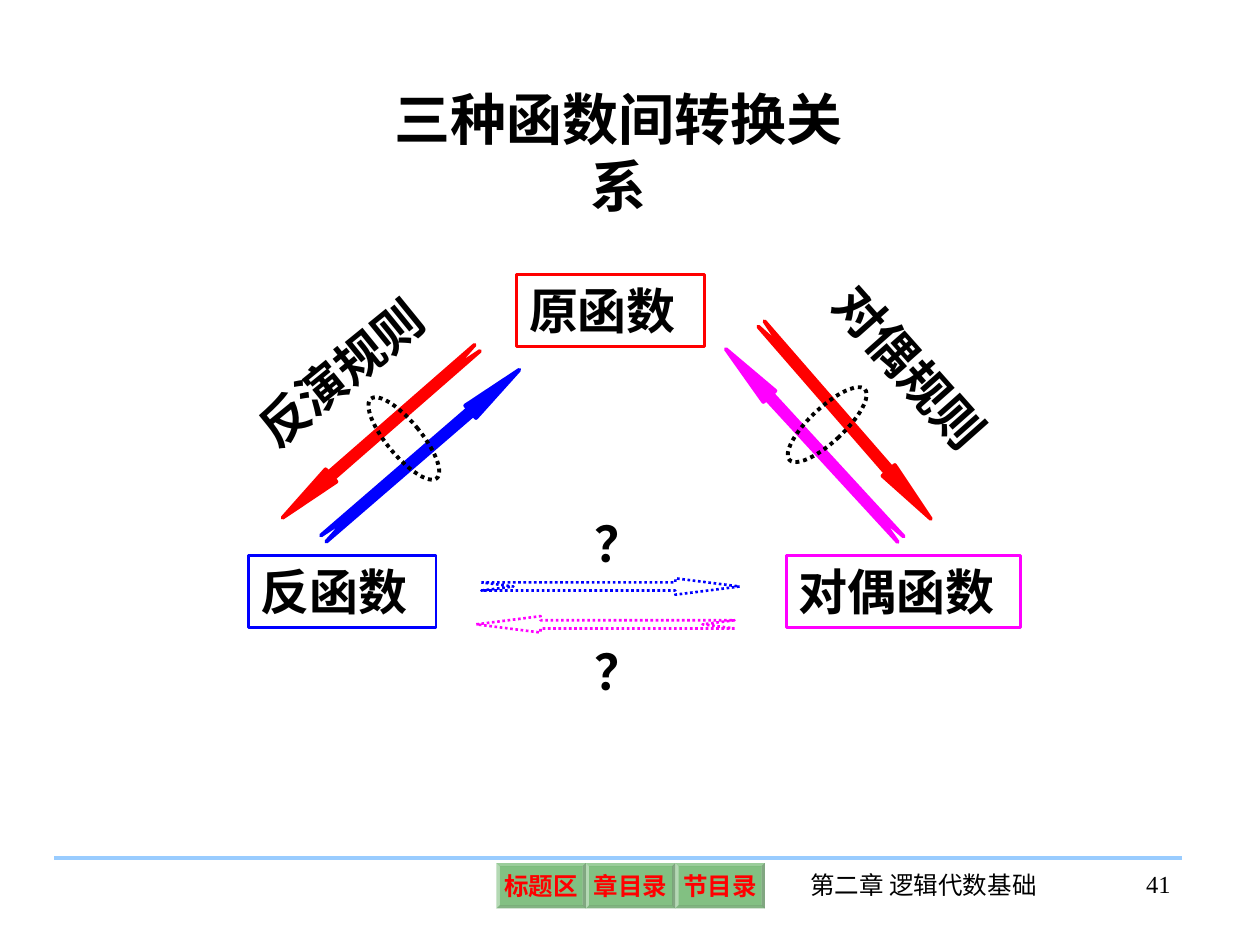
from pptx import Presentation
from pptx import util as u
from pptx.dml.color import RGBColor
from pptx.enum import dml, shapes, text
from pptx.oxml import xmlchemy as x

FONT = "Times New Roman"
BLACK = RGBColor(0, 0, 0)
RED = RGBColor(0xFF, 0, 0)
BLUE = RGBColor(0, 0, 0xFF)
MAGENTA = RGBColor(0xFF, 0, 0xFF)
GREEN = RGBColor(0, 0x80, 0)
SKY = RGBColor(0x99, 0xCC, 0xFF)

ARROW_W, ARROW_H, HEAD = 2.05, 0.13, 0.51
BUTTON_X, BUTTON_Y, BUTTON_W, BUTTON_H = 3.94, 6.85, 0.71, 0.36


def inches(*lengths):
    return [u.Inches(v) for v in lengths]


def put_text(sp, words, size, align, bold=True, color=BLACK, wrap=False):
    tf = sp.text_frame
    tf.text = words
    tf.word_wrap = wrap
    tf.auto_size = text.MSO_AUTO_SIZE.NONE
    tf.vertical_anchor = text.MSO_ANCHOR.TOP
    p = tf.paragraphs[0]
    p.alignment = align
    p.space_before = u.Pt(0)
    font = p.runs[0].font
    font.name, font.size, font.bold = FONT, u.Pt(size), bold
    font.color.rgb = color


def add_label(s, words, box, size=28, align=text.PP_ALIGN.CENTER, bold=True, turn=0):
    sp = s.shapes.add_textbox(*inches(*box))
    sp.rotation = turn
    put_text(sp, words, size, align, bold)


def add_outline(s, kind, box, color, width, turn=0, dotted=False):
    """Add an unfilled preset shape with a coloured outline."""
    sp = s.shapes.add_shape(kind, *inches(*box))
    sp.shadow.inherit = False
    sp.rotation = turn
    sp.fill.background()
    sp.line.color.rgb = color
    sp.line.width = u.Pt(width)
    if dotted:
        sp.line.dash_style = dml.MSO_LINE.ROUND_DOT
    return sp


def add_function(s, words, left, top, width, color):
    sp = add_outline(s, shapes.MSO_SHAPE.RECTANGLE, (left, top, width, 0.57), color, 1.5)
    put_text(sp, words, 28, text.PP_ALIGN.LEFT, wrap=True)


def add_arrow(s, left, top, turn, color, dotted=False):
    sp = add_outline(s, shapes.MSO_SHAPE.NOTCHED_RIGHT_ARROW,
                     (left, top, ARROW_W, ARROW_H), color,
                     1.5 if dotted else 2.25, turn, dotted)
    sp.adjustments[0] = 0.5
    sp.adjustments[1] = HEAD / ARROW_H
    if not dotted:
        sp.fill.solid()
        sp.fill.fore_color.rgb = color


def add_button(s, words, column):
    sp = s.shapes.add_shape(
        shapes.MSO_SHAPE.BEVEL,
        *inches(BUTTON_X + column * BUTTON_W, BUTTON_Y, BUTTON_W, BUTTON_H))
    sp.shadow.inherit = False
    sp.adjustments[0] = 0.07
    sp.fill.solid()
    sp.fill.fore_color.rgb = GREEN
    rgb = sp.fill._xPr.find(".//" + x.qn("a:srgbClr"))
    rgb.makeelement(x.qn("a:alpha"), {"val": "49000"})
    rgb.append(rgb.makeelement(x.qn("a:alpha"), {"val": "49000"}))
    sp.line.fill.background()
    put_text(sp, words, 14, text.PP_ALIGN.CENTER, color=RED)
    tf = sp.text_frame
    tf.vertical_anchor = text.MSO_ANCHOR.MIDDLE
    tf.margin_left = tf.margin_right = tf.margin_top = tf.margin_bottom = u.Inches(0.04)


def add_footer(s):
    rule = s.shapes.add_connector(shapes.MSO_CONNECTOR.STRAIGHT,
                                  *inches(0.43, 6.81, 9.38, 6.81))
    rule.line.color.rgb = SKY
    rule.line.width = u.Pt(2.25)
    props = rule._element.spPr
    props.append(props.makeelement(x.qn("a:effectLst"), {}))
    for column, words in enumerate(("标题区", "章目录", "节目录")):
        add_button(s, words, column)
    add_label(s, "第二章 逻辑代数基础", (6.14, 6.86, 2.38, 0.5), 14, bold=False)
    add_label(s, "41", (8.53, 6.85, 0.86, 0.5), 14, text.PP_ALIGN.RIGHT, False)


def add_title(s, words):
    title = s.shapes.title
    title.left, title.top, title.width, title.height = inches(2.81, 0.62, 4.2, 0.64)
    put_text(title, words, 32, text.PP_ALIGN.CENTER)


def main():
    prs = Presentation()
    prs.slide_width, prs.slide_height = inches(10, 7.5)
    s = prs.slides.add_slide(prs.slide_layouts[5])
    add_title(s, "三种函数间转换关系")
    add_footer(s)

    add_function(s, "原函数", 4.1, 2.18, 1.49, RED)
    add_function(s, "反函数", 1.97, 4.41, 1.49, BLUE)
    add_function(s, "对偶函数", 6.24, 4.41, 1.86, MAGENTA)

    add_arrow(s, 1.99, 3.37, 138.9, RED)
    add_arrow(s, 5.69, 3.28, 49, RED)
    add_arrow(s, 2.32, 3.54, 319.2, BLUE)
    add_arrow(s, 5.43, 3.46, 227.4, MAGENTA)
    add_arrow(s, 3.82, 4.59, 0, BLUE, dotted=True)
    add_arrow(s, 3.78, 4.89, 180, MAGENTA, dotted=True)

    add_label(s, "反演规则", (1.83, 2.67, 1.75, 0.57), turn=320.9)
    add_label(s, "对偶规则", (6.35, 2.63, 1.75, 0.57), turn=48.4)
    for top in (4.03, 5.04):
        add_label(s, "？", (4.62, top, 0.59, 0.57))
    for left, top, turn in ((3.07, 3.07, 140.4), (6.43, 2.96, 226.8)):
        add_outline(s, shapes.MSO_SHAPE.OVAL, (left, top, 0.27, 0.82),
                    BLACK, 2.25, turn, dotted=True)

    prs.save("out.pptx")


if __name__ == "__main__":
    main()
